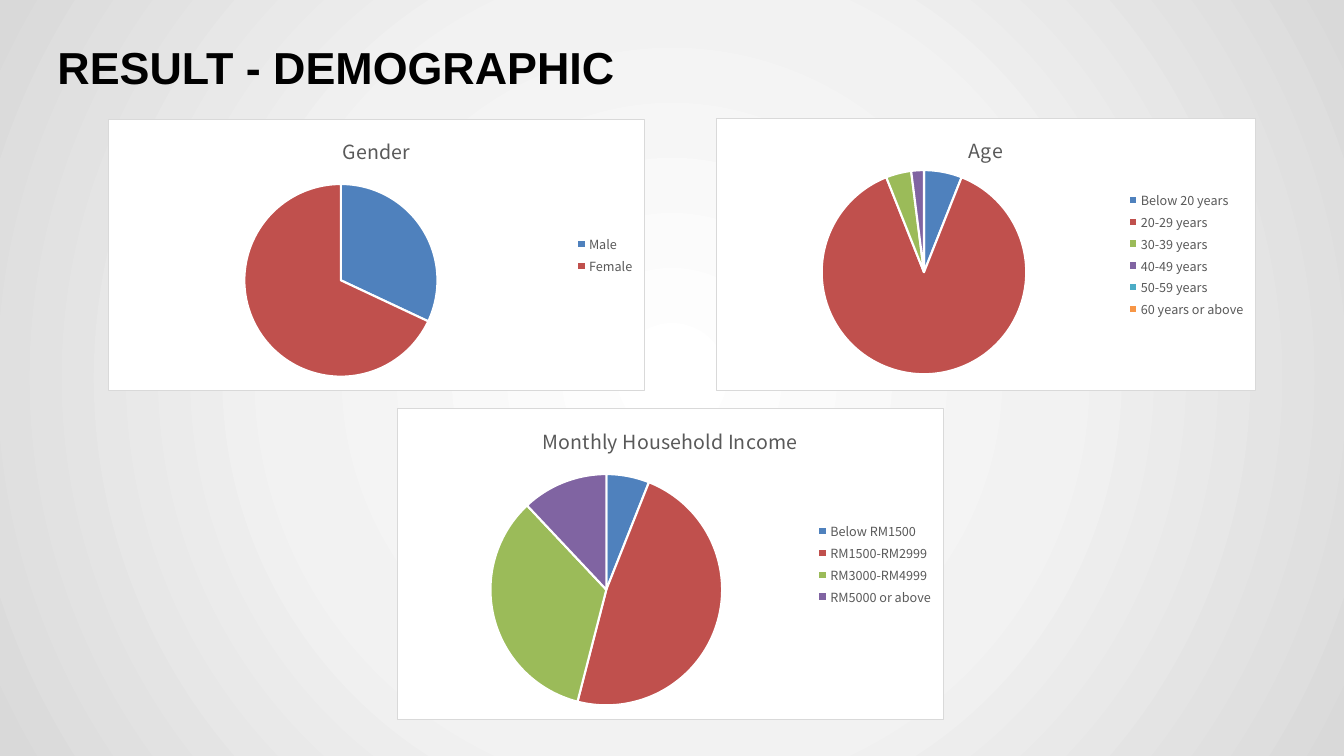
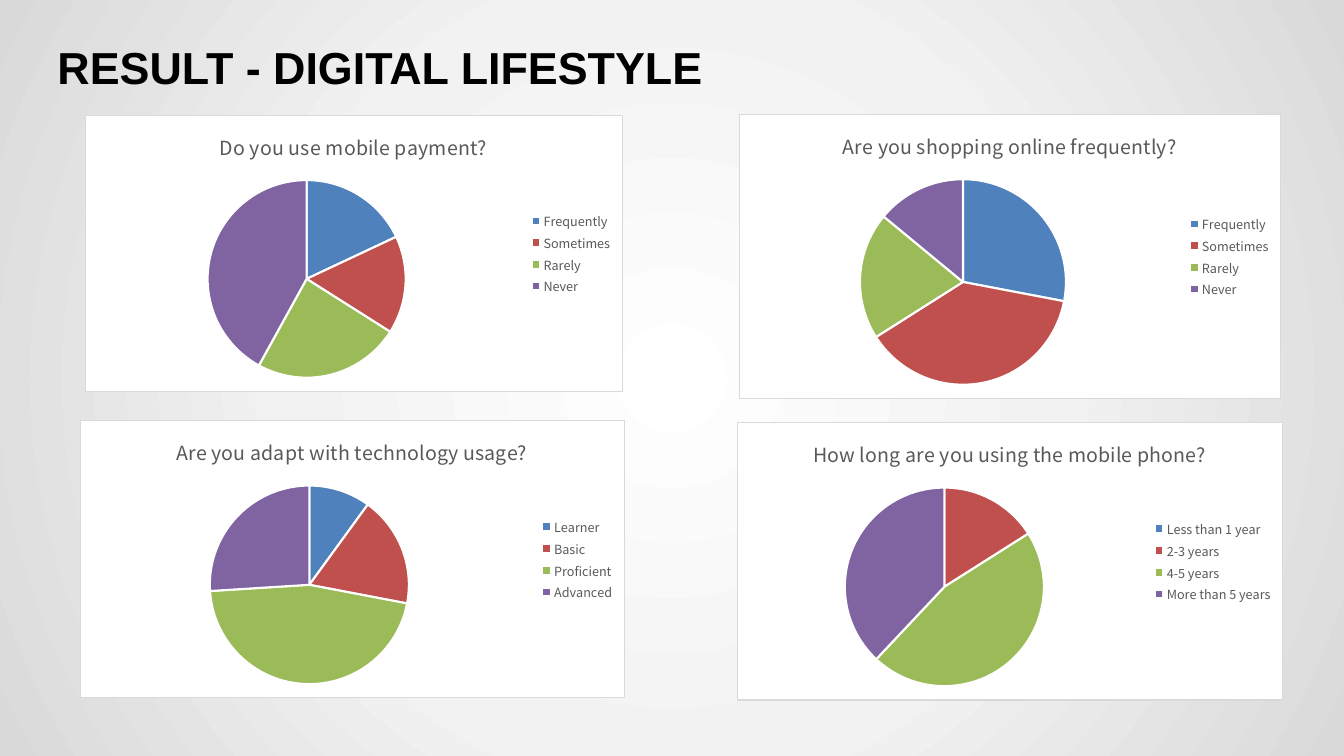
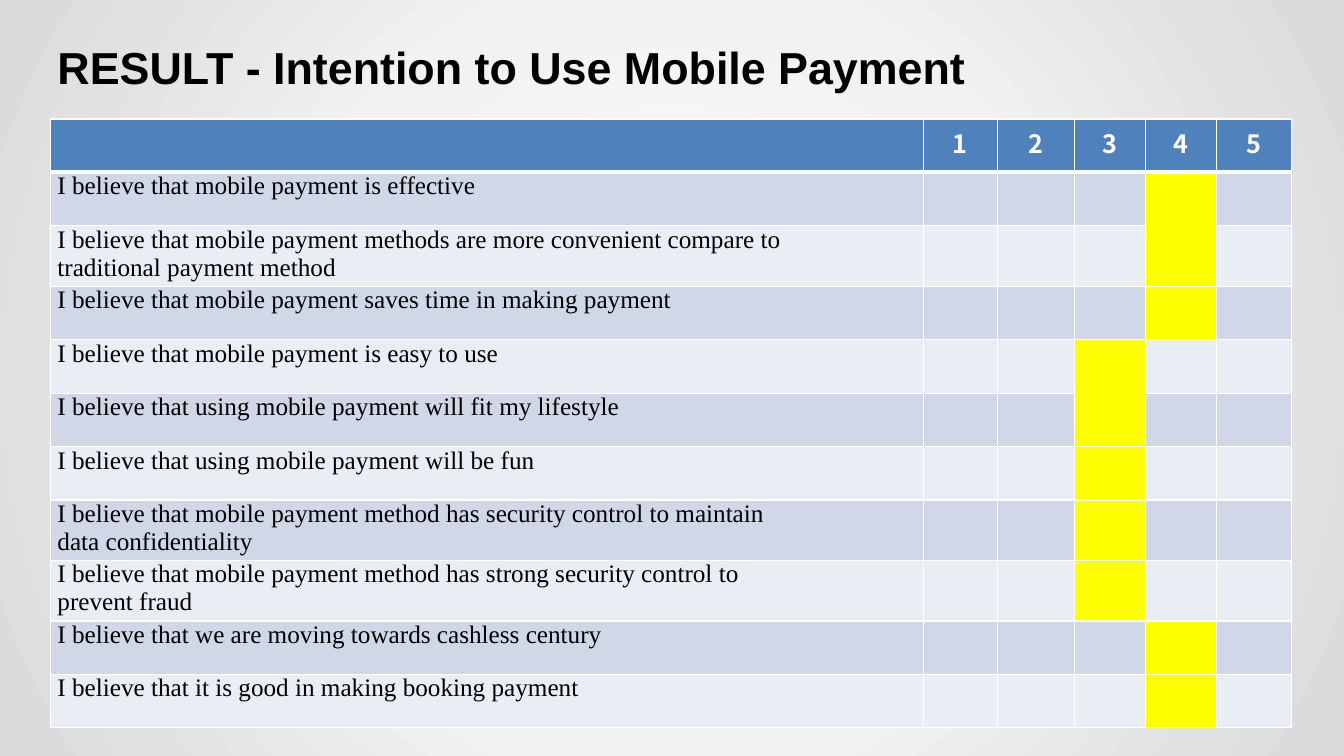
from lxml import etree
from pptx import Presentation
from pptx.chart.data import CategoryChartData
from pptx.dml.color import RGBColor
from pptx.enum.chart import XL_CHART_TYPE, XL_LEGEND_POSITION
from pptx.enum.text import MSO_ANCHOR, PP_ALIGN
from pptx.oxml import parse_xml
from pptx.oxml.ns import nsdecls, qn
from pptx.util import Inches, Pt

PIE = XL_CHART_TYPE.PIE
LEGEND_RIGHT = XL_LEGEND_POSITION.RIGHT
MIDDLE = MSO_ANCHOR.MIDDLE
LEFT, CENTER = PP_ALIGN.LEFT, PP_ALIGN.CENTER

TITLE_FONT, BODY_FONT, STATEMENT_FONT = "Arial", "Noto Sans CJK KR", "Times New Roman"
BLACK, WHITE, GREY, FRAME = "000000", "FFFFFF", "595959", "D9D9D9"
HEADER, BANDS, MARK = "4F81BD", ("D0D8E8", "E9EDF4"), "FFFF00"
SLICES = ("4F81BD", "C0504D", "9BBB59", "8064A2", "4BACC6", "F79646")
BACKDROP = ((0, "FFFFFF"), (50, "F2F2F2"), (100, "D9D9D9"))
TITLE_BOX = (0.57, 0.24, 11.72, 0.84)

FREQUENCY = ("Frequently", "Sometimes", "Rarely", "Never")
DEMOGRAPHIC = (
    ("Gender", (1.07, 1.18, 5.33, 2.7), ("Male", "Female"), (32, 68), None),
    ("Age", (7.1, 1.17, 5.36, 2.71),
     ("Below 20 years", "20-29 years", "30-39 years", "40-49 years", "50-59 years",
      "60 years or above"),
     (6, 88, 4, 2, 0, 0), (0.19, 0.19, 0.39, 0.75)),
    ("Monthly Household Income", (3.94, 4.05, 5.42, 3.09),
     ("Below RM1500", "RM1500-RM2999", "RM3000-RM4999", "RM5000 or above"),
     (6, 48, 34, 12), None),
)
LIFESTYLE = (
    ("Do you use mobile payment?", (0.84, 1.14, 5.34, 2.75),
     FREQUENCY, (18, 16, 24, 42), None),
    ("Are you shopping online frequently?", (7.33, 1.13, 5.38, 2.83),
     FREQUENCY, (28, 38, 20, 14), None),
    ("Are you adapt with technology usage?", (0.79, 4.17, 5.41, 2.76),
     ("Learner", "Basic", "Proficient", "Advanced"), (10, 18, 46, 26), None),
    ("How long are you using the mobile phone?", (7.31, 4.19, 5.42, 2.76),
     ("Less than 1 year", "2-3 years", "4-5 years", "More than 5 years"),
     (0, 16, 46, 38), None),
)
RATINGS = (
    ("I believe that mobile payment is effective", 4),
    ("I believe that mobile payment methods are more convenient compare to\n"
     "traditional payment method", 4),
    ("I believe that mobile payment saves time in making payment", 4),
    ("I believe that mobile payment is easy to use", 3),
    ("I believe that using mobile payment will fit my lifestyle", 3),
    ("I believe that using mobile payment will be fun", 3),
    ("I believe that mobile payment method has security control to maintain\n"
     "data confidentiality", 3),
    ("I believe that mobile payment method has strong security control to\n"
     "prevent fraud", 3),
    ("I believe that we are moving towards cashless century", 4),
    ("I believe that it is good in making booking payment", 4),
)
RATING_BOX = (0.5, 1.18, 12.31, 5.88)
RATING_COLUMNS = (8.66, 0.73, 0.77, 0.7, 0.71, 0.74)
ROW_HEIGHT, TALL_ROW, TALL_HEIGHT = 0.53, 8, 0.6


def rgb(value):
    """Turn a hex string into a colour."""
    return RGBColor.from_string(value)


def inches(box):
    """Turn a box in inches into lengths."""
    return [Inches(side) for side in box]


def style(font, size, color, name=BODY_FONT, bold=False):
    """Set the look of a font."""
    font.size, font.name, font.bold = Pt(size), name, bold
    font.color.rgb = rgb(color)


def write(frame, text, align=LEFT, **look):
    """Fill a text frame, one paragraph per line."""
    for index, line in enumerate(text.split("\n")):
        paragraph = frame.add_paragraph() if index else frame.paragraphs[0]
        paragraph.alignment = align
        run = paragraph.add_run()
        run.text = line
        style(run.font, **look)


def paint_backdrop(master):
    """Give the master its round grey gradient."""
    master.background.fill.gradient()
    gradient = next(master.element.iter(qn("a:gradFill")))
    stops = "".join(
        f'<a:gs pos="{position * 1000}"><a:srgbClr val="{color}"/></a:gs>'
        for position, color in BACKDROP)
    gradient.getparent().replace(gradient, parse_xml(
        f'<a:gradFill {nsdecls("a")} rotWithShape="1"><a:gsLst>{stops}</a:gsLst>'
        '<a:path path="circle"><a:fillToRect l="50000" t="50000" r="50000" b="50000"/>'
        '</a:path></a:gradFill>'))


def add_titled_slide(deck, title):
    """Add a blank slide with the shared title style."""
    slide = deck.slides.add_slide(deck.slide_layouts[6])
    frame = slide.shapes.add_textbox(*inches(TITLE_BOX)).text_frame
    frame.word_wrap, frame.vertical_anchor = True, MIDDLE
    frame.margin_left = frame.margin_right = frame.margin_top = frame.margin_bottom = 0
    write(frame, title, size=32, color=BLACK, name=TITLE_FONT, bold=True)
    return slide


def frame_chart(chart):
    """Give the chart area a white fill and a thin grey border."""
    area = next(chart.element.iter(qn("c:chart")))
    area.addnext(parse_xml(
        f'<c:spPr {nsdecls("c", "a")}><a:solidFill><a:srgbClr val="{WHITE}"/></a:solidFill>'
        f'<a:ln w="{Pt(0.75)}"><a:solidFill><a:srgbClr val="{FRAME}"/></a:solidFill></a:ln>'
        '</c:spPr>'))


def place_plot(chart, plot_box):
    """Set the inner plot area as shares of the chart."""
    plot_area = next(chart.element.iter(qn("c:plotArea")))
    for old in plot_area.findall(qn("c:layout")):
        plot_area.remove(old)
    layout = parse_xml(f'<c:layout {nsdecls("c")}><c:manualLayout/></c:layout>')
    settings = [("layoutTarget", "inner"), ("xMode", "edge"), ("yMode", "edge")]
    for tag, value in settings + list(zip("xywh", plot_box)):
        etree.SubElement(layout[0], qn(f"c:{tag}")).set("val", str(value))
    plot_area.insert(0, layout)


def add_pie(slide, question, box, answers, shares, plot_box):
    """Place one framed pie with its title and legend."""
    data = CategoryChartData()
    data.categories = answers
    data.add_series(question, shares)
    chart = slide.shapes.add_chart(PIE, *inches(box), data).chart
    style(chart.font, size=10, color=BLACK)
    frame_chart(chart)
    chart.has_title = True
    write(chart.chart_title.text_frame, question, CENTER, size=14, color=GREY)
    chart.chart_title.include_in_layout = False
    chart.has_legend = True
    chart.legend.position = LEGEND_RIGHT
    chart.legend.include_in_layout = False
    style(chart.legend.font, size=9, color=GREY)
    pie = chart.plots[0]
    pie.vary_by_categories = True
    for index, color in enumerate(SLICES[:len(answers)]):
        piece = pie.series[0].points[index].format
        piece.fill.solid()
        piece.fill.fore_color.rgb = rgb(color)
        piece.line.color.rgb = rgb(WHITE)
        piece.line.width = Pt(1.5)
    if plot_box:
        place_plot(chart, plot_box)


def add_pie_slide(deck, title, pies):
    """Add a slide of pies."""
    slide = add_titled_slide(deck, title)
    for pie in pies:
        add_pie(slide, *pie)


def paint_cell(cell, fill, top=1, bottom=1):
    """Fill a cell and draw its white borders."""
    cell.fill.solid()
    cell.fill.fore_color.rgb = rgb(fill)
    borders = (("L", 1), ("R", 1), ("T", top), ("B", bottom))
    for index, (side, width) in enumerate(borders):
        cell._tc.tcPr.insert(index, parse_xml(
            f'<a:ln{side} {nsdecls("a")} w="{Pt(width)}"><a:solidFill>'
            f'<a:srgbClr val="{WHITE}"/></a:solidFill></a:ln{side}>'))


def add_rating_table(slide, box):
    """Place the statements with the chosen rating marked."""
    table = slide.shapes.add_table(
        len(RATINGS) + 1, len(RATING_COLUMNS), *inches(box)).table
    table.first_row = table.horz_banding = False
    for column, width in zip(table.columns, RATING_COLUMNS):
        column.width = Inches(width)
    for index, row in enumerate(table.rows):
        row.height = Inches(TALL_HEIGHT if index == TALL_ROW else ROW_HEIGHT)
    for score in range(len(RATING_COLUMNS)):
        heading = table.cell(0, score)
        paint_cell(heading, HEADER, bottom=3)
        if score:
            write(heading.text_frame, str(score), CENTER, size=18, color=WHITE, bold=True)
    for index, (statement, rating) in enumerate(RATINGS, 1):
        for score in range(len(RATING_COLUMNS)):
            fill = MARK if score == rating else BANDS[(index - 1) % 2]
            paint_cell(table.cell(index, score), fill, top=3 if index == 1 else 1)
        label = table.cell(index, 0)
        label.margin_left = label.margin_right = Inches(0.07)
        label.margin_top = label.margin_bottom = 0
        write(label.text_frame, statement, size=18, color=BLACK, name=STATEMENT_FONT)


def main():
    """Build and save the deck."""
    deck = Presentation()
    deck.slide_width, deck.slide_height = Inches(13.33), Inches(7.5)
    paint_backdrop(deck.slide_master)
    add_pie_slide(deck, "RESULT - DEMOGRAPHIC", DEMOGRAPHIC)
    add_pie_slide(deck, "RESULT - DIGITAL LIFESTYLE", LIFESTYLE)
    intention = add_titled_slide(deck, "RESULT - Intention to Use Mobile Payment")
    add_rating_table(intention, RATING_BOX)
    deck.save("out.pptx")


if __name__ == "__main__":
    main()
